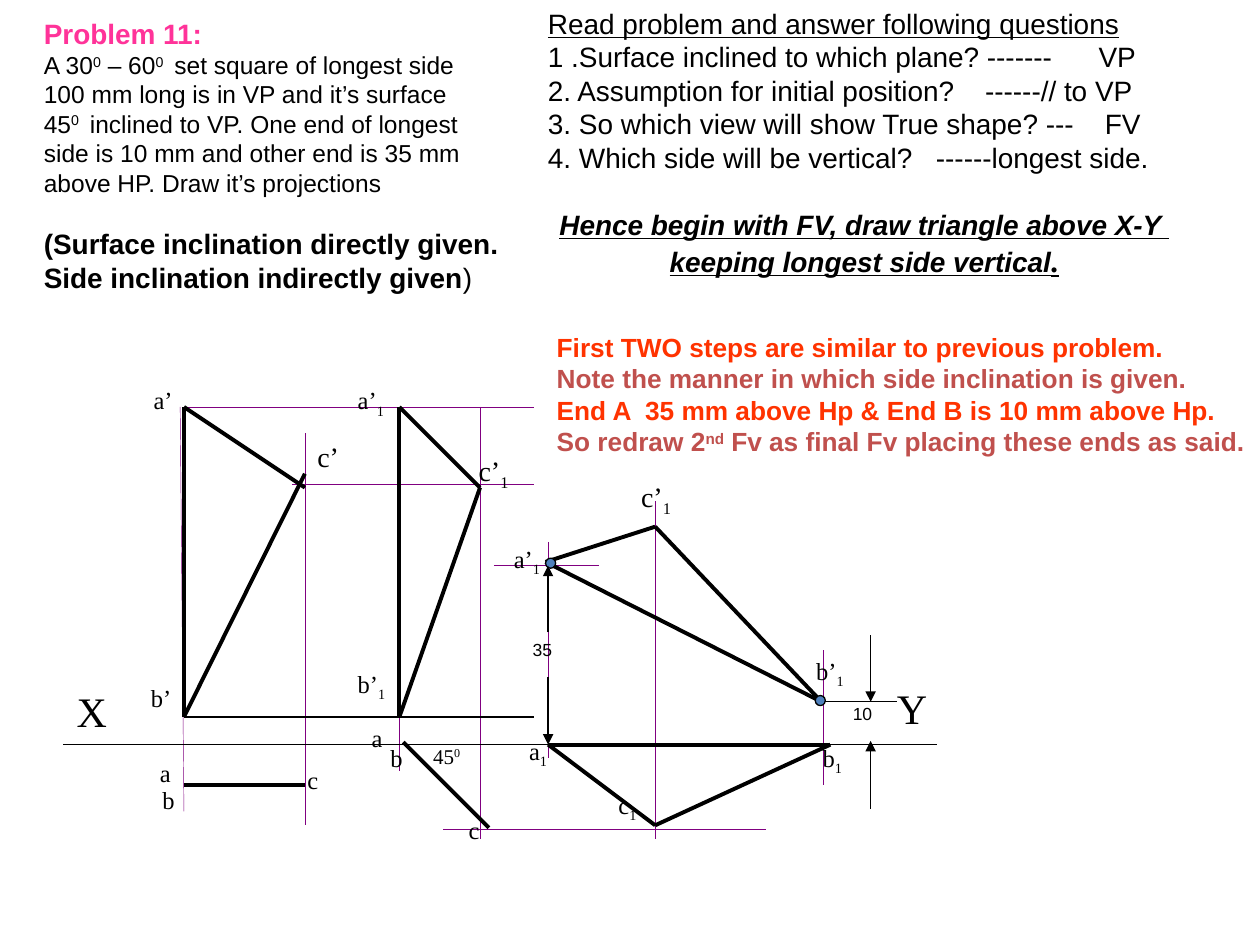
import lxml.etree
import pptx
import pptx.dml.color
import pptx.enum.shapes
import pptx.enum.text
import pptx.oxml.ns
import pptx.util

RGB = pptx.dml.color.RGBColor
BLACK = RGB(0, 0, 0)
PINK = RGB(0xFF, 0x33, 0x99)
RED = RGB(0xFF, 0x33, 0x00)
BRICK = RGB(0xC0, 0x50, 0x4D)
PURPLE = RGB(0x80, 0, 0x80)
BLUE = RGB(0x4F, 0x81, 0xBD)
SANS = "Arial"
SERIF = "Times New Roman"
WIDE = pptx.util.Inches(10)
HIGH = pptx.util.Inches(7.5)
COLS = 100
ROWS = 75
THICK, THIN, HAIR = 2.25, 0.75, 0.25

FIRST, SECOND, THIRD = 14.6, 31.7, 43.5
APEX, BENT, FINAL, END = 24.2, 38.1, 52, 65.3
TOP, BASE, XY, RISE = 32.3, 56.9, 59.1, 69.1


def col(n):
    return round(WIDE * n / COLS)


def row(n):
    return round(HIGH * n / ROWS)


def tag(parent, name, **attrs):
    return lxml.etree.SubElement(parent, pptx.oxml.ns.qn(name), **attrs)


def line(slide, start, end, color=BLACK, width=THICK, arrow=False):
    kind = pptx.enum.shapes.MSO_CONNECTOR.STRAIGHT
    item = slide.shapes.add_connector(
        kind, col(start[0]), row(start[1]), col(end[0]), row(end[1]))
    item.line.color.rgb = color
    item.line.width = pptx.util.Pt(width)
    if arrow:
        tag(item.line._get_or_add_ln(), "a:tailEnd", type="triangle")
    tag(item._element.spPr, "a:effectLst")


def shape(slide, points):
    for start, end in zip(points, points[1:]):
        line(slide, start, end)


def dot(slide, x, y):
    kind = pptx.enum.shapes.MSO_SHAPE.OVAL
    item = slide.shapes.add_shape(kind, col(x - 0.4), row(y - 0.4), col(0.8), row(0.8))
    item.shadow.inherit = False
    item.fill.solid()
    item.fill.fore_color.rgb = BLUE
    item.line.color.rgb = BLACK
    item.line.width = pptx.util.Pt(THIN)


def box(slide, x, y, w, h, wrap=True):
    item = slide.shapes.add_textbox(col(x), row(y), col(w), row(h))
    frame = item.text_frame
    frame.word_wrap = wrap
    frame.auto_size = pptx.enum.text.MSO_AUTO_SIZE.SHAPE_TO_FIT_TEXT
    return frame


def para(frame, gap=0, mid=False, stop=None):
    fresh = not frame.paragraphs[0].runs
    par = frame.paragraphs[0] if fresh else frame.add_paragraph()
    if stop:
        tabs = tag(par._p.get_or_add_pPr(), "a:tabLst")
        tag(tabs, "a:tab", pos=str(col(stop)), algn="l")
    if gap:
        par.space_before = pptx.util.Pt(gap)
    if mid:
        par.alignment = pptx.enum.text.PP_ALIGN.CENTER
    return par


def write(par, text, size=14, face=SANS, color=BLACK, **style):
    mark, shift = ("_", "-25000") if "_" in text else ("^", "30000")
    for i, part in enumerate(text.split(mark)):
        if not part:
            continue
        run = par.add_run()
        run.text = part
        run.font.size = pptx.util.Pt(size)
        run.font.name = face
        run.font.color.rgb = color
        for name, value in style.items():
            setattr(run.font, name, value)
        if i % 2:
            run._r.get_or_add_rPr().set("baseline", shift)


def label(slide, text, x, y, w, size=14, face=SERIF, wrap=False):
    frame = box(slide, x, y, w, size * 0.17 + 0.95, wrap)
    write(para(frame), text, size=size, face=face)


def guides(slide):
    for start, end in (
        ((14.3, TOP), (FIRST, 64.4)), ((APEX, 34.4), (APEX, 65.5)),
        ((SECOND, TOP), (SECOND, 61.2)), ((BENT, TOP), (BENT, 66.6)),
        ((THIRD, 43), (THIRD, 60.2)), ((FINAL, 39.8), (FINAL, 66.6)),
        ((END, 51.6), (END, 62.3)), ((FIRST, TOP), (42.4, TOP)),
        ((23.2, 38.4), (42.4, 38.4)), ((35.2, 65.8), (60.8, 65.8)),
    ):
        line(slide, start, end, PURPLE, HAIR)
    line(slide, (39.2, 44.9), (47.5, 44.9), PURPLE, THIN)
    for start, end in (((5, XY), (74.4, XY)), ((FIRST, BASE), (42.4, BASE)),
                       ((64.8, 55.7), (71.2, 55.7))):
        line(slide, start, end, width=THIN)


def views(slide):
    shape(slide, [(APEX, 38.7), (FIRST, TOP), (FIRST, BASE), (APEX, 37.6)])
    shape(slide, [(SECOND, TOP), (SECOND, BASE), (BENT, 38.7), (SECOND, TOP)])
    shape(slide, [(43.3, 44.6), (65.2, 55.7), (FINAL, 41.8), (43.3, 44.6)])
    shape(slide, [(THIRD, XY), (FINAL, 65.5), (65.9, XY), (THIRD, XY)])
    shape(slide, [(FIRST, 62.3), (APEX, 62.3)])
    shape(slide, [(32, 58.9), (38.8, 65.7)])
    dot(slide, 43.7, 44.7)
    dot(slide, 65.1, 55.6)


def sizes(slide):
    for x, start, end in ((THIRD, 53.7, XY), (THIRD, 50.2, 44.9),
                          (RISE, 64.2, 58.8), (RISE, 50.4, 55.7)):
        line(slide, (x, start), (x, end), width=THIN, arrow=True)
    label(slide, "35", 41.3, 50.2, 5.3, 10, SANS, wrap=True)
    label(slide, "10", 66.7, 55.3, 5.3, 10, SANS, wrap=True)
    label(slide, "45^0", 33.4, 58.5, 5.7, 12, wrap=True)


def names(slide):
    for text, x, y, w in (
        ("c", 36.2, 64.2, 2.9), ("c_1", 48.1, 62.2, 3.5),
        ("a’_1", 27.4, 30.1, 4.1), ("b’_1", 27.4, 52.6, 4.3),
        ("a", 28.5, 56.9, 2.9), ("c", 23.4, 60.2, 2.9),
        ("a’", 11.2, 30.1, 3.5), ("a", 11.7, 59.7, 2.9),
        ("b_1", 64.3, 58.5, 3.6), ("b’", 11, 53.7, 3.6),
        ("b", 11.9, 61.8, 3), ("a_1", 41, 57.9, 3.5),
        ("b", 30, 58.5, 3), ("a’_1", 39.8, 42.7, 4.1),
        ("b’_1", 63.8, 51.6, 4.3),
    ):
        label(slide, text, x, y, w)
    for text, x, y, w in (("c’_1", 37, 35.5, 4.5), ("c’_1", 49.9, 37.6, 4.5),
                          ("c’", 24.2, 34.4, 3.8)):
        label(slide, text, x, y, w, 16)
    label(slide, "X", 5.1, 53.9, 4.4, 24)
    label(slide, "Y", 70.2, 53.7, 4.4, 24)


def task(slide):
    frame = box(slide, 2.5, 0.8, 40, 23.2)
    write(para(frame), "Problem 11:", size=16, color=PINK, bold=True)
    for text in ("A 30^0^ – 60^0 ^ set square of longest side",
                 "100 mm long is in VP and it’s surface",
                 "45^0 ^ inclined to VP. One end of longest",
                 "side is 10 mm and other end is 35 mm",
                 "above HP. Draw it’s projections"):
        write(para(frame), text)
    write(para(frame, gap=17), "(Surface inclination directly given.", size=16, bold=True)
    last = para(frame)
    write(last, "Side inclination indirectly given", size=16, bold=True)
    write(last, ")", size=16)


def quiz(slide):
    frame = box(slide, 42.5, 0, 52.2, 22.7)
    write(para(frame), "Read problem and answer following questions", size=16, underline=True)
    for text, stop in (("1 .Surface inclined to which plane? -------\tVP", 43.7),
                       ("2. Assumption for initial position?\t------// to VP", 34.7),
                       ("3. So which view will show True shape? ---\tFV", 44.2),
                       ("4. Which side will be vertical?\t------longest side.", 30.8)):
        write(para(frame, stop=stop), text, size=16)
    style = dict(bold=True, italic=True, underline=True)
    write(para(frame, gap=19, mid=True),
          "Hence begin with FV, draw triangle above X-Y ", size=16, **style)
    last = para(frame, mid=True)
    write(last, "keeping longest side vertical", size=16, **style)
    write(last, ".", size=18, face=SERIF, **style)


def hint(slide):
    frame = box(slide, 43.2, 25.8, 56.8, 11, wrap=False)
    for text, color in (
        ("First TWO steps are similar to previous problem.", RED),
        ("Note the manner in which side inclination is given.", BRICK),
        ("End A  35 mm above Hp & End B is 10 mm above Hp.", RED),
        ("So redraw 2^nd^ Fv as final Fv placing these ends as said.", BRICK),
    ):
        write(para(frame), text, size=15, color=color, bold=True)


def main():
    deck = pptx.Presentation()
    deck.slide_width, deck.slide_height = WIDE, HIGH
    slide = deck.slides.add_slide(deck.slide_layouts[6])
    for draw in (guides, views, names, sizes, task, quiz, hint):
        draw(slide)
    deck.save("out.pptx")


if __name__ == "__main__":
    main()
